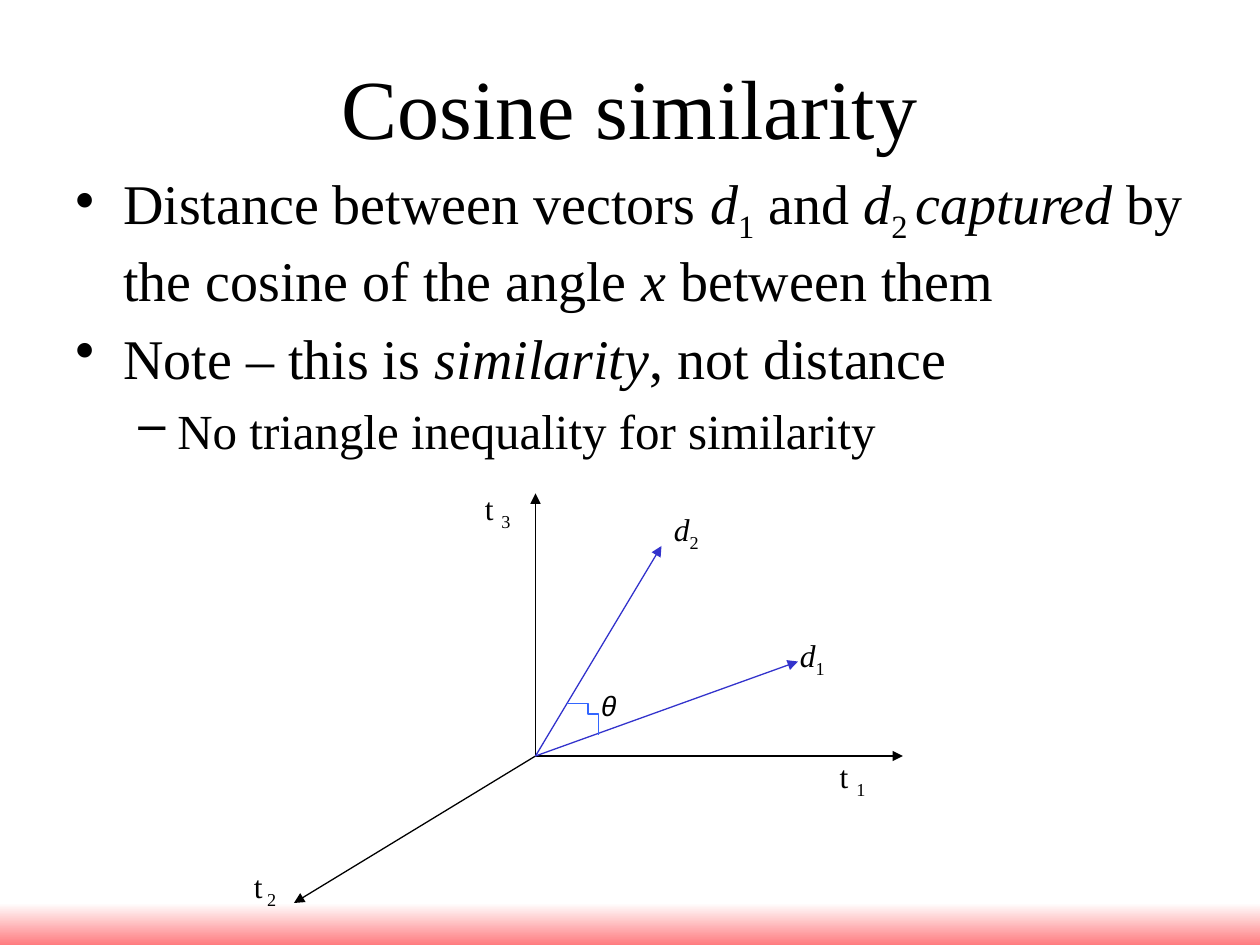
from dataclasses import dataclass

from lxml import etree
from pptx import Presentation
from pptx.dml.color import RGBColor
from pptx.enum.shapes import MSO_CONNECTOR, MSO_SHAPE
from pptx.enum.text import MSO_ANCHOR, MSO_AUTO_SIZE, PP_ALIGN
from pptx.oxml.ns import qn
from pptx.util import Inches, Pt

STRAIGHT, RECT = MSO_CONNECTOR.STRAIGHT, MSO_SHAPE.RECTANGLE
CENTER, LEFT = PP_ALIGN.CENTER, PP_ALIGN.LEFT
TOP, FIT, FIXED = MSO_ANCHOR.TOP, MSO_AUTO_SIZE.SHAPE_TO_FIT_TEXT, MSO_AUTO_SIZE.NONE

COLS, ROWS = 120, 90  # grid of 12 cells to the inch
SERIF, MONO = "Times New Roman", "Courier New"
BLACK, BLUE, SKY, WHITE, PINK = "000000", "3333CC", "3366FF", "FFFFFF", "FF7C80"
THIN = Pt(0.75)
PLAIN, SLANT, SUB = "plain", "slant", "sub"

Run = tuple[str, str]  # words and their style
Point = tuple[float, float]  # column and row


@dataclass
class Para:
    runs: list[Run]
    size: int
    font: str = SERIF
    mark: str = ""
    left: float = 0  # inches
    hang: float = 0


@dataclass
class Box:
    col: float
    row: float
    wide: float
    high: float
    paras: list[Para]
    wrap: bool = True
    fit: bool = True
    align: int = LEFT
    inset: float = 0.05


@dataclass
class Arrow:
    tip: Point
    color: str


def cell(n: float) -> int:
    return Inches(n / 12)


def paint(code: str) -> RGBColor:
    return RGBColor.from_string(code)


def add_band(slide) -> None:
    band = slide.shapes.add_shape(RECT, 0, cell(86), cell(COLS), cell(4))
    band.shadow.inherit = False
    band.line.fill.background()
    band.fill.gradient()
    band.fill.gradient_angle = 270
    for stop, code in zip(band.fill.gradient_stops, (WHITE, PINK)):
        stop.color.rgb = paint(code)


def add_bullet(para, item: Para) -> None:
    props = para._p.get_or_add_pPr()
    props.set("marL", str(Inches(item.left)))
    props.set("indent", str(-Inches(item.hang)))
    space = etree.SubElement(props, qn("a:spcBef"))
    etree.SubElement(space, qn("a:spcPct")).set("val", "20000")
    etree.SubElement(props, qn("a:buChar")).set("char", item.mark)


def add_box(slide, box: Box) -> None:
    shape = slide.shapes.add_textbox(*map(cell, (box.col, box.row, box.wide, box.high)))
    frame = shape.text_frame
    form = {"word_wrap": box.wrap, "auto_size": FIT if box.fit else FIXED,
            "vertical_anchor": TOP, "margin_top": Inches(box.inset)}
    for key, value in form.items():
        setattr(frame, key, value)
    for i, item in enumerate(box.paras):
        para = frame.add_paragraph() if i else frame.paragraphs[0]
        para.alignment = box.align
        if item.mark:
            add_bullet(para, item)
        for words, style in item.runs:
            run = para.add_run()
            run.text = words
            look = {"name": item.font, "size": Pt(item.size), "italic": style == SLANT}
            for key, value in look.items():
                setattr(run.font, key, value)
            run.font.color.rgb = paint(BLACK)
            if style == SUB:
                run._r.get_or_add_rPr().set("baseline", "-25000")


def add_arrow(slide, start: Point, arrow: Arrow) -> None:
    line = slide.shapes.add_connector(STRAIGHT, *map(cell, start + arrow.tip))
    line.line.width = THIN
    line.line.color.rgb = paint(arrow.color)
    etree.SubElement(line.line._get_or_add_ln(), qn("a:tailEnd")).set("type", "triangle")
    etree.SubElement(line._element.spPr, qn("a:effectLst"))


def bezier(knots: list[Point], steps: int = 12) -> list[Point]:
    """Points along a cubic curve, its start left out."""
    spots = []
    for n in range(1, steps + 1):
        t = n / steps
        shares = ((1 - t) ** 3, 3 * t * (1 - t) ** 2, 3 * t * t * (1 - t), t ** 3)
        spots.append(tuple(sum(s * k[axis] for s, k in zip(shares, knots))
                           for axis in (0, 1)))
    return spots


def add_arc(slide, knots: list[Point]) -> None:
    spots = bezier(knots[:4]) + bezier(knots[3:])
    pen = slide.shapes.build_freeform(*knots[0], scale=float(cell(1)))
    pen.add_line_segments(spots, close=False)
    arc = pen.convert_to_shape()
    arc.shadow.inherit = False
    arc.fill.background()
    arc.line.width = THIN
    arc.line.color.rgb = paint(SKY)


def label(col: float, row: float, runs: list[Run], wide: float = 5) -> Box:
    return Box(col, row, wide, 4.8, [Para(runs, 18)], wrap=False)


TITLE = Box(6, 3.6, 108, 8.4, [Para([("Cosine similarity", PLAIN)], 48)],
            fit=False, align=CENTER, inset=0.14)
BODY = Box(6, 15.5, 108, 65, [
    Para([("Distance between vectors ", PLAIN), ("d", SLANT), ("1", SUB),
          (" and ", PLAIN), ("d", SLANT), ("2 ", SUB), ("captured", SLANT),
          (" by the cosine of the angle ", PLAIN), ("x", SLANT),
          (" between them", PLAIN)], 32, mark="•", left=0.38, hang=0.38),
    Para([("Note – this is ", PLAIN), ("similarity", SLANT),
          (", not distance", PLAIN)], 32, mark="•", left=0.38, hang=0.38),
    Para([("No triangle inequality for similarity", PLAIN)], 28,
         mark="–", left=0.81, hang=0.31),
], fit=False)
ORIGIN = (51, 72)
ARROWS = [Arrow((86, 72), BLACK), Arrow((51, 47), BLACK), Arrow((28, 86), BLACK),
          Arrow((76, 63), BLUE), Arrow((63, 52), BLUE)]
LABELS = [
    label(78.8, 71.5, [("t ", PLAIN), ("1", SUB)]),
    label(63, 48, [("d", SLANT), ("2", SUB)], 6),
    label(75, 60, [("d", SLANT), ("1", SUB)]),
    label(45, 46, [("t ", PLAIN), ("3", SUB)]),
    label(23, 82, [("t", PLAIN), (" 2", SUB)]),
    Box(56, 65, 3.6, 4.4, [Para([("θ", SLANT)], 16, MONO)]),
]
ARC = [(54, 67.3), (54.7, 67.1), (55.4, 66.8), (56, 67.3),
       (56.5, 67.7), (56.9, 69.6), (57, 70)]


def main() -> None:
    deck = Presentation()
    deck.slide_width, deck.slide_height = cell(COLS), cell(ROWS)
    slide = deck.slides.add_slide(deck.slide_layouts[6])
    add_band(slide)
    for box in (TITLE, BODY):
        add_box(slide, box)
    for arrow in ARROWS:
        add_arrow(slide, ORIGIN, arrow)
    add_arc(slide, ARC)
    for box in LABELS:
        add_box(slide, box)
    deck.save("out.pptx")


if __name__ == "__main__":
    main()
